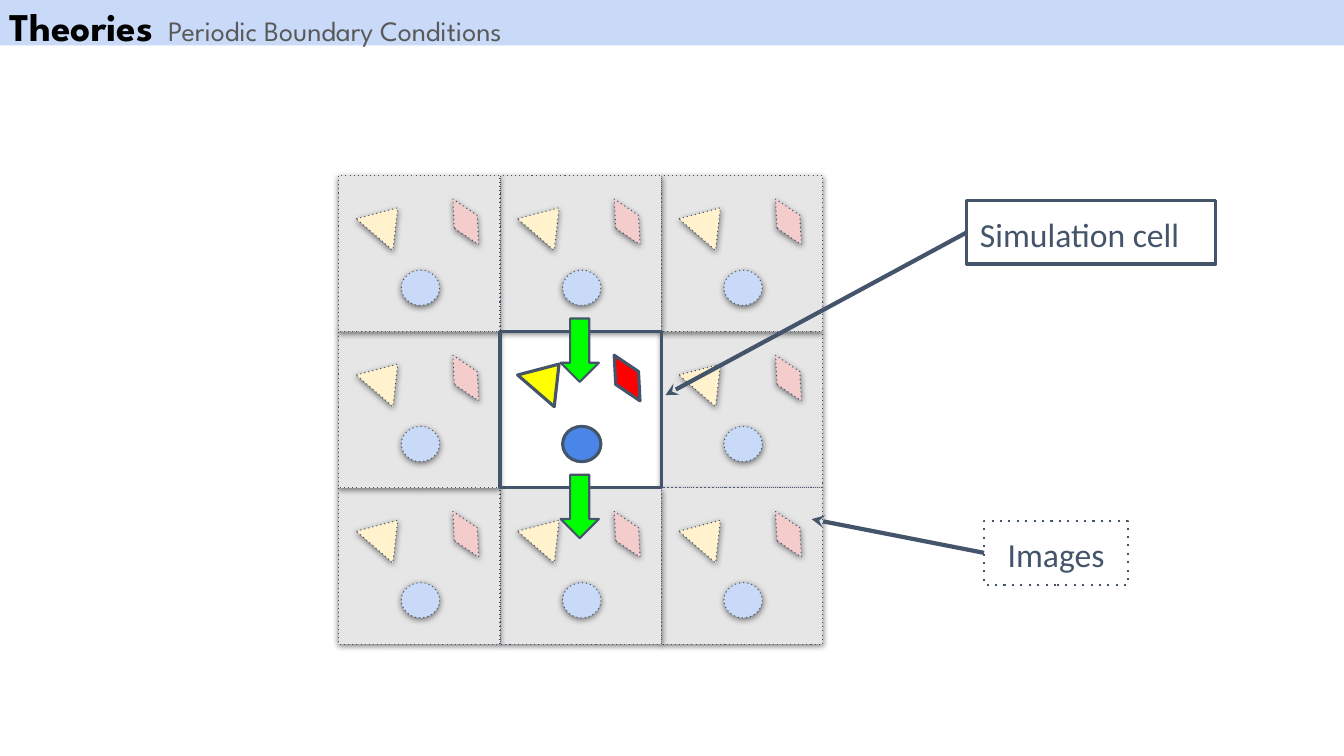
from dataclasses import dataclass
from typing import Optional

import lxml.etree
import pptx
import pptx.dml.color
import pptx.enum.shapes
import pptx.enum.text
import pptx.oxml.ns
import pptx.util

qn = pptx.oxml.ns.qn
SHAPE = pptx.enum.shapes.MSO_SHAPE
ALIGN = pptx.enum.text.PP_ALIGN
ANCHOR = pptx.enum.text.MSO_ANCHOR


@dataclass(frozen=True)
class Theme:
    slate: str = "44546A"
    band: str = "C9DAF8"
    title: str = "000000"
    subtitle: str = "595959"
    arrow: str = "00FF00"
    image_cell: str = "E7E6E6"
    title_font: str = "League Spartan"
    label_font: str = "Calibri"
    title_size: float = 28
    label_size: float = 24
    subtitle_size: float = 20
    thin: float = 0.75
    medium: float = 1.5
    strong: float = 2.25
    heavy: float = 3


@dataclass(frozen=True)
class Area:
    """Left, top, width and height in grid columns and rows."""
    column: float
    row: float
    columns: float
    rows: float


@dataclass(frozen=True)
class Particle:
    kind: SHAPE
    area: Area  # measured from the corner of its cell
    rotation: float
    color: str
    image_color: str


@dataclass(frozen=True)
class Label:
    text: str
    area: Area
    line_width: float
    dotted: bool
    alignment: ALIGN
    target: tuple[float, float]


@dataclass(frozen=True)
class Span:
    text: str
    font: str
    size: float
    color: str
    bold: bool = False


THEME = Theme()

# Grid: one column and one row are a tenth of an inch
WIDTH, HEIGHT = pptx.util.Inches(13.33), pptx.util.Inches(7.5)
COLUMN, ROW = WIDTH / 133.3, HEIGHT / 75

# Lattice of three by three cells
LATTICE_COLUMN, LATTICE_ROW = 33.6, 17.4
CELL_COLUMNS, CELL_ROWS = 16, 15.5
IMAGE_CELLS = ((2, 1), (2, 2), (1, 2), (0, 2), (0, 1), (2, 0), (1, 0), (0, 0))
CENTRE_CELL = (1, 1)

PARTICLES = (
    Particle(SHAPE.OVAL, Area(6.2, 9.4, 3.8, 3.5), 0, "4A86E8", "C9DAF8"),
    Particle(SHAPE.ISOSCELES_TRIANGLE, Area(2.3, 2.8, 4.8, 3.5), 40.9, "FFFF00", "FFF2CC"),
    Particle(SHAPE.DIAMOND, Area(11.3, 2, 2.6, 5.2), 330.5, "FF0000", "F4CCCC"),
)
LABELS = (
    Label("Simulation cell", Area(95.9, 19.9, 24.7, 6.3), THEME.strong, False,
          ALIGN.LEFT, (66, 39.2)),
    Label("Images", Area(97.6, 51.7, 14.3, 6.3), THEME.medium, True,
          ALIGN.CENTER, (80.5, 51.5)),
)
HEADER = (
    Span("Theories", THEME.title_font, THEME.title_size, THEME.title, True),
    Span("\t", THEME.title_font, THEME.label_size, THEME.title, True),
    Span("Periodic Boundary Conditions", THEME.title_font, THEME.subtitle_size, THEME.subtitle),
)


def x(columns: float) -> int:
    return round(columns * COLUMN)


def y(rows: float) -> int:
    return round(rows * ROW)


def rgb(color: str) -> pptx.dml.color.RGBColor:
    return pptx.dml.color.RGBColor.from_string(color)


def add_box(shapes, kind: SHAPE, area: Area, fill: Optional[str] = None,
            line_width: float = 0, dotted: bool = False, shadow: bool = False):
    box = shapes.add_shape(kind, x(area.column), y(area.row), x(area.columns), y(area.rows))
    box.shadow.inherit = False
    if fill:
        box.fill.solid()
        box.fill.fore_color.rgb = rgb(fill)
    else:
        box.fill.background()
    if line_width:
        box.line.color.rgb = rgb(THEME.slate)
        box.line.width = pptx.util.Pt(line_width)
    else:
        box.line.fill.background()
    properties = box.element.spPr
    if dotted:
        lxml.etree.SubElement(properties.find(qn("a:ln")), qn("a:prstDash"), val="dot")
    if shadow:
        outer = lxml.etree.SubElement(
            properties.find(qn("a:effectLst")), qn("a:outerShdw"),
            blurRad=str(pptx.util.Pt(4.5)), dist=str(pptx.util.Pt(1.5)),
            dir="5400000", algn="bl", rotWithShape="0")
        black = lxml.etree.SubElement(outer, qn("a:srgbClr"), val="000000")
        lxml.etree.SubElement(black, qn("a:alpha"), val="50000")
    return box


def write(box, spans: tuple[Span, ...], alignment: ALIGN, anchor: ANCHOR, inset: float):
    frame = box.text_frame
    frame.word_wrap = True
    frame.vertical_anchor = anchor
    frame.margin_left = frame.margin_right = x(inset)
    frame.margin_top = frame.margin_bottom = y(inset)
    para = frame.paragraphs[0]
    para.alignment = alignment
    for span in spans:
        run = para.add_run()
        run.text = span.text
        run.font.name = span.font
        run.font.size = pptx.util.Pt(span.size)
        run.font.bold = span.bold
        run.font.color.rgb = rgb(span.color)
    return para


def add_cell(page, place: tuple[int, int], image: bool) -> None:
    shapes = page.shapes.add_group_shape().shapes
    left = LATTICE_COLUMN + place[0] * CELL_COLUMNS
    top = LATTICE_ROW + place[1] * CELL_ROWS
    width = THEME.thin if image else THEME.strong
    add_box(shapes, SHAPE.RECTANGLE, Area(left, top, CELL_COLUMNS, CELL_ROWS),
            THEME.image_cell if image else None, width, image, image)
    for particle in PARTICLES:
        inner = particle.area
        area = Area(left + inner.column, top + inner.row, inner.columns, inner.rows)
        color = particle.image_color if image else particle.color
        box = add_box(shapes, particle.kind, area, color, width, image, image)
        box.rotation = particle.rotation


def add_label(page, label: Label) -> None:
    box = add_box(page.shapes, SHAPE.RECTANGLE, label.area, None, label.line_width, label.dotted)
    span = Span(label.text, THEME.label_font, THEME.label_size, THEME.slate)
    write(box, (span,), label.alignment, ANCHOR.TOP, 1.3)
    pointer = page.shapes.add_connector(
        pptx.enum.shapes.MSO_CONNECTOR.STRAIGHT, 0, 0, x(label.target[0]), y(label.target[1]))
    pointer.begin_connect(box, 1)
    pointer.line.color.rgb = rgb(THEME.slate)
    pointer.line.width = pptx.util.Pt(THEME.heavy)
    properties = pointer.element.spPr
    lxml.etree.SubElement(properties.find(qn("a:ln")), qn("a:tailEnd"), type="stealth")
    lxml.etree.SubElement(properties, qn("a:effectLst"))


def main() -> None:
    deck = pptx.Presentation()
    deck.slide_width, deck.slide_height = WIDTH, HEIGHT
    page = deck.slides.add_slide(deck.slide_layouts[6])

    # Periodic images around the simulation cell
    for place in IMAGE_CELLS:
        add_cell(page, place, image=True)
    add_cell(page, CENTRE_CELL, image=False)

    # Particles crossing the upper and lower cell borders
    for border in (1, 2):
        area = Area(55.6, LATTICE_ROW + border * CELL_ROWS - 1.3, 3.8, 6.3)
        add_box(page.shapes, SHAPE.DOWN_ARROW, area, THEME.arrow, THEME.medium)

    # Labels with pointers
    for label in LABELS:
        add_label(page, label)

    # Header band, with a tab between title and subtitle
    band = add_box(page.shapes, SHAPE.RECTANGLE, Area(0, 0, 133.3, 4.5), THEME.band)
    para = write(band, HEADER, ALIGN.LEFT, ANCHOR.MIDDLE, 1)
    tabs = lxml.etree.SubElement(para._p.get_or_add_pPr(), qn("a:tabLst"))
    lxml.etree.SubElement(tabs, qn("a:tab"), pos=str(x(15.7)), algn="l")
    para.line_spacing = 1.15

    deck.save("out.pptx")


if __name__ == "__main__":
    main()
